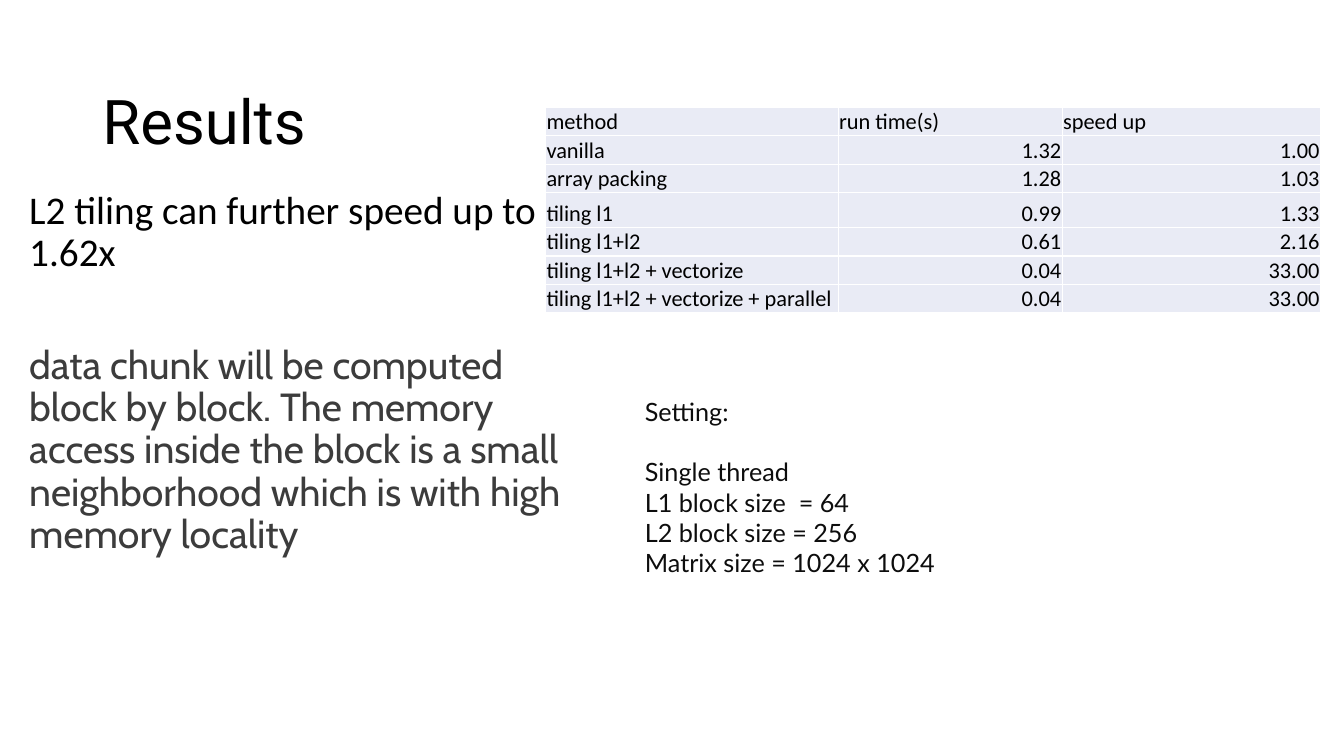
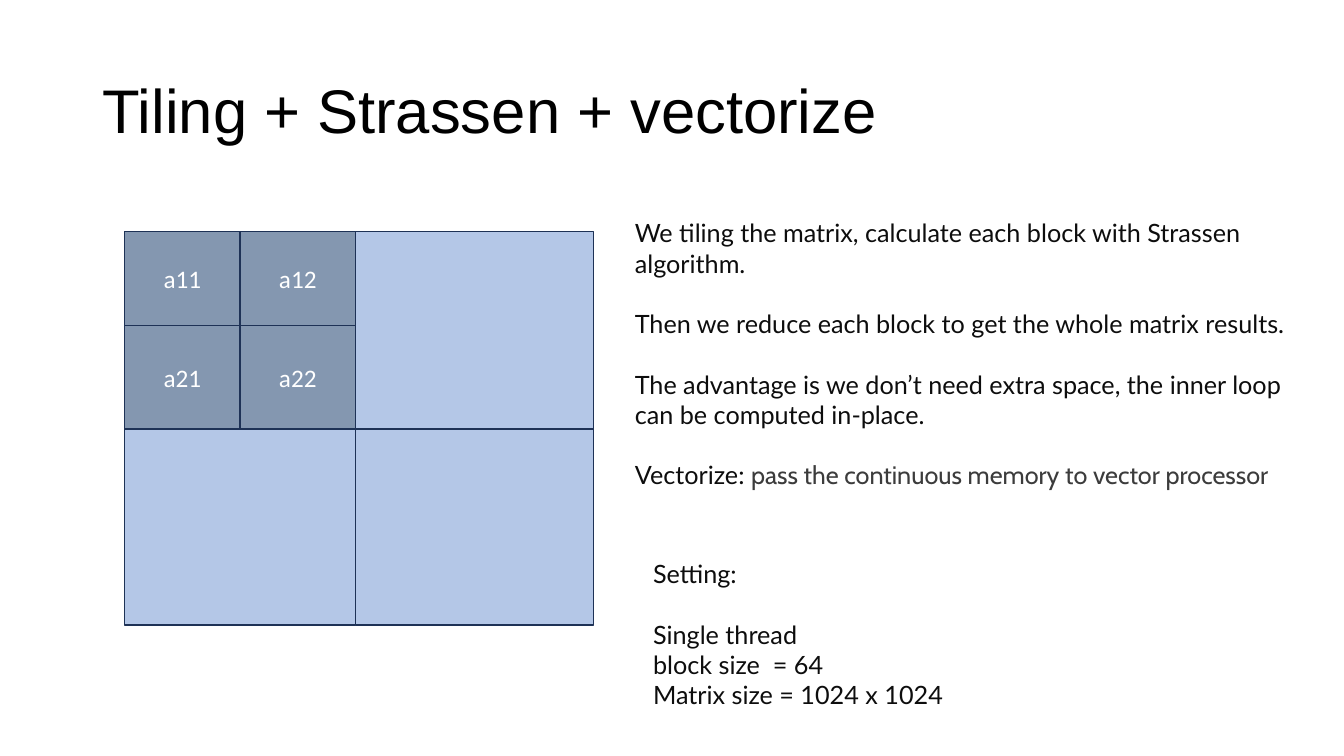
from lxml.etree import SubElement
from pptx import Presentation
from pptx.dml.color import RGBColor
from pptx.enum.shapes import MSO_SHAPE as Shape
from pptx.enum.text import MSO_ANCHOR as Anchor, MSO_AUTO_SIZE as AutoSize, PP_ALIGN as Align
from pptx.oxml.ns import qn
from pptx.util import Pt

TITLE_AND_BODY, TITLE_ONLY = 1, 5


def color(hex_code):
    return RGBColor.from_string(hex_code)


def write(frame, text, font="Lato", size=18, ink="0D0D0D", align=Align.LEFT,
          before=0, spacing=None, same_line=False):
    """Add a paragraph to the frame, or a run to its last paragraph."""
    paragraph = frame.paragraphs[-1]
    if not same_line:
        if frame.text:
            paragraph = frame.add_paragraph()
        paragraph.alignment = align
        paragraph.space_before = Pt(before)
        if spacing:
            paragraph.line_spacing = spacing
    run = paragraph.add_run()
    run.text = text
    run.font.name, run.font.size = font, Pt(size)
    run.font.color.rgb = color(ink)
    return paragraph


class Deck:
    BLACK, WHITE, GRAY = "000000", "FFFFFF", "3C3C3C"
    OUTLINE, CELL_FILL = "1E3256", "E9EBF5"
    BODY_FONT, ACCENT_FONT = "Calibri", "Cabin"
    TIGHT = 0.9      # line spacing of titles and body text
    LINE_GAP = 21.6  # one line of note text

    def __init__(self):
        self.file = Presentation()
        self.file.slide_width, self.file.slide_height = Pt(960), Pt(540)
        self.slide = None

    def place(self, placeholder, left, top, width, height):
        placeholder.left, placeholder.top = Pt(left), Pt(top)
        placeholder.width, placeholder.height = Pt(width), Pt(height)
        placeholder.text_frame.auto_size = AutoSize.NONE
        return placeholder.text_frame

    def new_slide(self, layout, title, font, top):
        self.slide = self.file.slides.add_slide(self.file.slide_layouts[layout])
        frame = self.place(self.slide.shapes.title, 66, top, 828, 104.4)
        frame.vertical_anchor = Anchor.MIDDLE
        write(frame, title, font=font, size=44, ink=self.BLACK, spacing=self.TIGHT)

    def body(self, left, top, width, height, items):
        frame = self.place(self.slide.placeholders[1], left, top, width, height)
        for text, style in items:
            paragraph = write(frame, text, size=28, spacing=self.TIGHT, **style)
            properties = paragraph._p.get_or_add_pPr()
            properties.set("marL", "0")
            properties.set("indent", "0")
            SubElement(properties, qn("a:buNone"))

    def note(self, left, top, width, height, groups):
        """A text box whose groups of lines stand one line apart."""
        box = self.slide.shapes.add_textbox(Pt(left), Pt(top), Pt(width), Pt(height))
        frame = box.text_frame
        frame.word_wrap = True
        frame.auto_size = AutoSize.SHAPE_TO_FIT_TEXT
        for number, group in enumerate(groups):
            for position, line in enumerate(group):
                apart = number > 0 and position == 0
                write(frame, line, before=self.LINE_GAP if apart else 0)
        return frame

    def block(self, left, top, right, bottom, fill, label=""):
        rect = self.slide.shapes.add_shape(
            Shape.RECTANGLE, Pt(left), Pt(top), Pt(right - left), Pt(bottom - top))
        rect.shadow.inherit = False
        rect.fill.solid()
        rect.fill.fore_color.rgb = color(fill)
        rect.line.color.rgb = color(self.OUTLINE)
        rect.line.width = Pt(1)
        if label:
            rect.text_frame.vertical_anchor = Anchor.MIDDLE
            write(rect.text_frame, label, font=self.BODY_FONT, ink=self.WHITE,
                  align=Align.CENTER)

    def table(self, left, top, widths, heights, rows):
        grid = self.slide.shapes.add_table(
            len(rows), len(widths), Pt(left), Pt(top),
            Pt(sum(widths)), Pt(sum(heights))).table
        grid.first_row = grid.horz_banding = False
        for column, width in zip(grid.columns, widths):
            column.width = Pt(width)
        for r, (values, height) in enumerate(zip(rows, heights)):
            grid.rows[r].height = Pt(height)
            for c, value in enumerate(values):
                is_number = r > 0 and c > 0
                self.cell(grid.cell(r, c), value, Align.RIGHT if is_number else Align.LEFT)

    def cell(self, cell, value, align):
        cell.margin_left = cell.margin_right = cell.margin_top = Pt(0.7)
        cell.margin_bottom = 0
        cell.vertical_anchor = Anchor.BOTTOM
        for side in ("lnL", "lnR", "lnT", "lnB"):
            border = SubElement(cell._tc.get_or_add_tcPr(), qn(f"a:{side}"), w=str(Pt(1)))
            line_fill = SubElement(border, qn("a:solidFill"))
            SubElement(line_fill, qn("a:srgbClr"), val=self.WHITE)
        cell.fill.solid()
        cell.fill.fore_color.rgb = color(self.CELL_FILL)
        write(cell.text_frame, value, font=self.BODY_FONT, size=16,
              ink=self.BLACK, align=align)


def results(deck):
    deck.new_slide(TITLE_AND_BODY, "Results", font="Roboto", top=36.7)

    # Findings
    deck.body(13.7, 132.5, 412.5, 342.7, [
        ("L2 tiling can further speed up to 1.62x",
         dict(font=deck.BODY_FONT, ink=deck.BLACK, before=10)),
        ("data chunk will be computed block by block. The memory access inside "
         "the block is a small neighborhood which is with high memory locality",
         dict(font=deck.ACCENT_FONT, ink=deck.GRAY, before=50)),
    ])

    # Timings
    timings = [
        ("method", "run time(s)", "speed up"),
        ("vanilla", "1.32", "1.00"),
        ("array packing", "1.28", "1.03"),
        ("tiling l1", "0.99", "1.33"),
        ("tiling l1+l2", "0.61", "2.16"),
        ("tiling l1+l2 + vectorize", "0.04", "33.00"),
        ("tiling l1+l2 + vectorize + parallel", "0.04", "33.00"),
    ]
    heights = [25 if row[0] == "tiling l1" else 20 for row in timings]
    deck.table(389.7, 76.8, [209, 160, 184.5], heights, timings)

    # Settings
    deck.note(453.6, 279.4, 343.4, 138.2, [
        ["Setting:"],
        ["Single thread", "L1 block size  = 64", "L2 block size = 256",
         "Matrix size = 1024 x 1024"],
    ])


def strassen(deck):
    deck.new_slide(TITLE_ONLY, "Tiling + Strassen + vectorize", font="Arial", top=28.8)

    # Matrix of four blocks, the first one split again
    outer_x, outer_y = (89, 254, 424), (165.5, 306.5, 446.5)
    inner_x, inner_y = (89, 171.5, 254), (165.5, 232.5, 306.5)
    for xs, ys, fill, prefix in ((outer_x, outer_y, "B4C7E7", ""),
                                 (inner_x, inner_y, "8497B0", "a")):
        for row in range(2):
            for col in range(2):
                label = f"{prefix}{row + 1}{col + 1}" if prefix else ""
                deck.block(xs[col], ys[row], xs[col + 1], ys[row + 1], fill, label)

    # Method
    method = deck.note(446.4, 151.9, 501.8, 181.4, [
        ["We tiling the matrix, calculate each block with Strassen algorithm."],
        ["Then we reduce each block to get the whole matrix results."],
        ["The advantage is we don’t need extra space, the inner loop can be "
         "computed in-place."],
        ["Vectorize: "],
    ])
    write(method, "pass the continuous memory to vector processor",
          font=deck.ACCENT_FONT, ink=deck.GRAY, same_line=True)

    # Settings
    deck.note(459.4, 395.3, 343.4, 116.6, [
        ["Setting:"],
        ["Single thread", "block size  = 64", "Matrix size = 1024 x 1024"],
    ])


def main():
    deck = Deck()
    results(deck)
    strassen(deck)
    deck.file.save("out.pptx")


if __name__ == "__main__":
    main()
